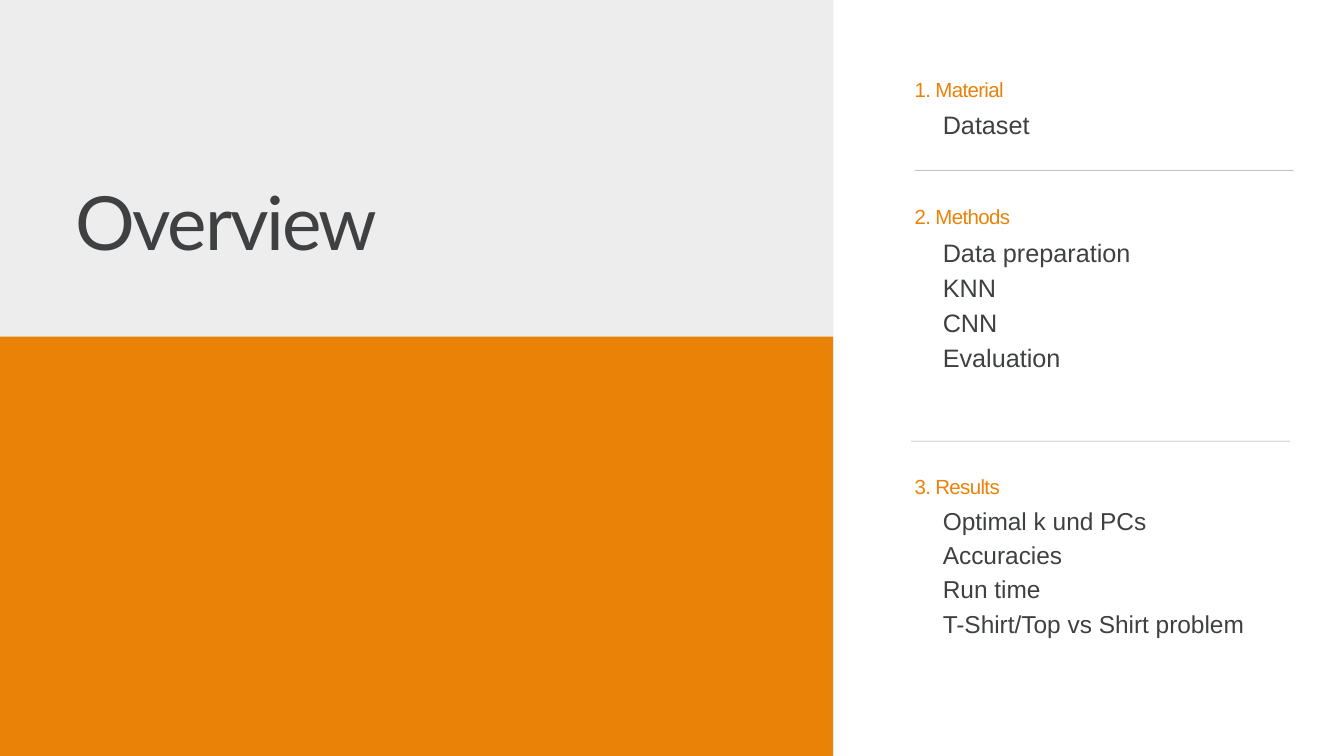
"""Build the overview slide: a title panel beside three agenda sections."""
from dataclasses import dataclass

from lxml import etree
from pptx import Presentation
from pptx import util as u
from pptx.dml.color import RGBColor
from pptx.enum import shapes, text
from pptx.oxml import ns


@dataclass(frozen=True)
class Theme:
    ink: str = "3F4042"
    accent: str = "EB8208"
    panel: str = "EDEDED"
    title_size: float = 80
    heading_size: float = 21.9
    item_size: float = 27
    small_item_size: float = 26.2


theme = Theme()
deck = Presentation()
deck.slide_width, deck.slide_height = u.Inches(20), u.Inches(11.25)
slide = deck.slides.add_slide(deck.slide_layouts[6])


def add_block(left, top, width, height, color, opacity=100):
    block = slide.shapes.add_shape(
        shapes.MSO_SHAPE.RECTANGLE, *map(u.Inches, (left, top, width, height)))
    block.shadow.inherit = False
    block.fill.solid()
    block.fill.fore_color.rgb = RGBColor.from_string(color)
    block.line.fill.background()
    if opacity < 100:
        tint = block.fill._xPr.find(".//" + ns.qn("a:srgbClr"))
        etree.SubElement(tint, ns.qn("a:alpha"), val=str(opacity * 1000))


def add_lines(box, lines, size, leading, color, font="Arial", tracking=0):
    frame = slide.shapes.add_textbox(*map(u.Inches, box)).text_frame
    frame.margin_left = frame.margin_right = frame.margin_top = frame.margin_bottom = 0
    frame.word_wrap = True
    frame.auto_size = text.MSO_AUTO_SIZE.SHAPE_TO_FIT_TEXT
    frame.text = "\n".join(lines)
    for paragraph in frame.paragraphs:
        paragraph.line_spacing = u.Pt(leading)
        paragraph.font.name = font
        paragraph.font.size = u.Pt(size)
        paragraph.font.color.rgb = RGBColor.from_string(color)
        if tracking:
            for run in paragraph.runs:
                run._r.get_or_add_rPr().set("spc", str(round(tracking * 100)))


add_block(-0.18, -0.25, 12.58, 11.74, theme.panel)

for left, top in [(13.61, 2.53), (13.56, 6.56)]:
    add_block(left, top, 5.64, 0.01, theme.ink, opacity=50)

sections = [
    ("1. Material", 1.11, ["Dataset"], 1.55, 0.57, theme.item_size, 37.8),
    ("2. Methods", 3.01, ["Data preparation", "KNN", "CNN", "Evaluation"],
     3.45, 2.45, theme.item_size, 37.8),
    ("3. Results", 7.03,
     ["Optimal k und PCs", "Accuracies", "Run time", "T-Shirt/Top vs Shirt problem"],
     7.45, 2.99, theme.small_item_size, 36.8),
]
for heading, heading_top, items, items_top, items_height, size, leading in sections:
    add_lines((14.03, items_top, 5.22, items_height), items, size, leading, theme.ink)
    add_lines((13.61, heading_top, 5.64, 0.43), [heading], theme.heading_size, 28.5,
              theme.accent, tracking=-0.7)

add_lines((1.12, 2.5, 10.12, 1.42), ["Overview"], theme.title_size, 104, theme.ink,
          font="Lato", tracking=-2.4)
add_block(0, 5.01, 12.4, 6.24, theme.accent)

deck.save("out.pptx")
